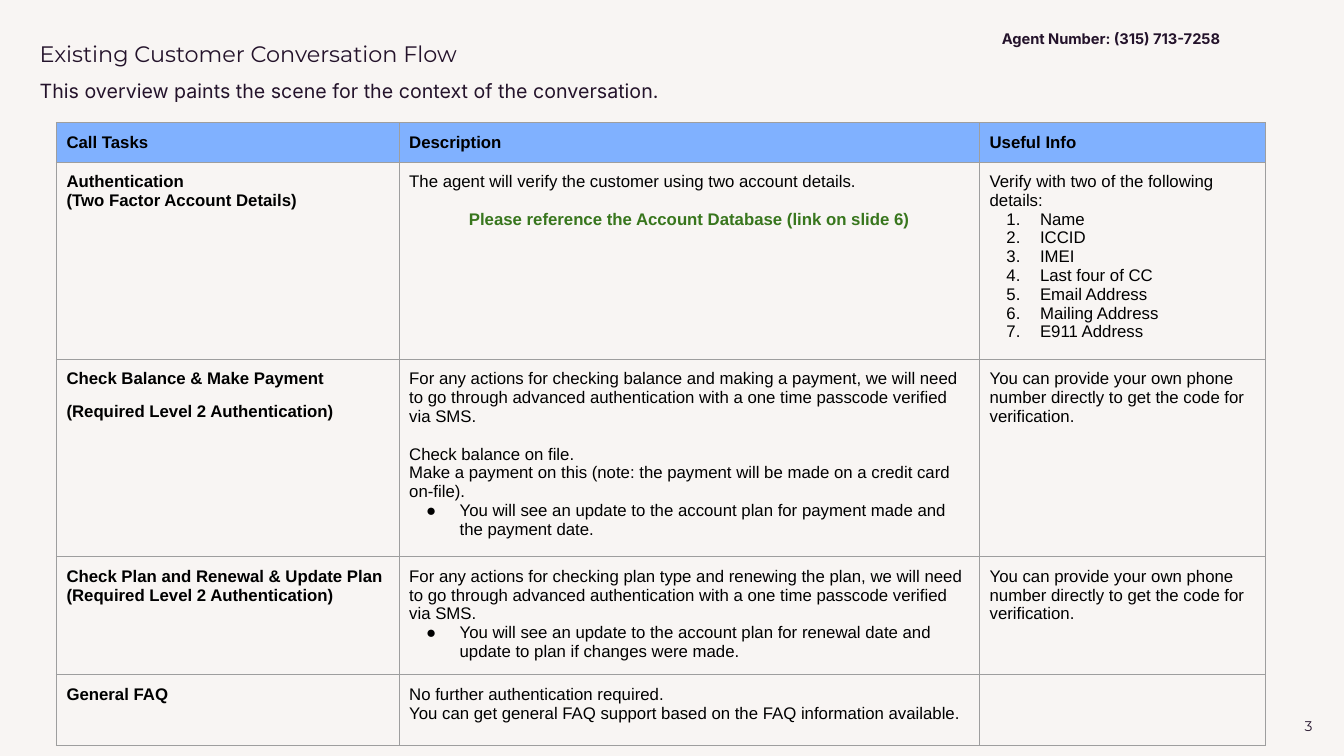
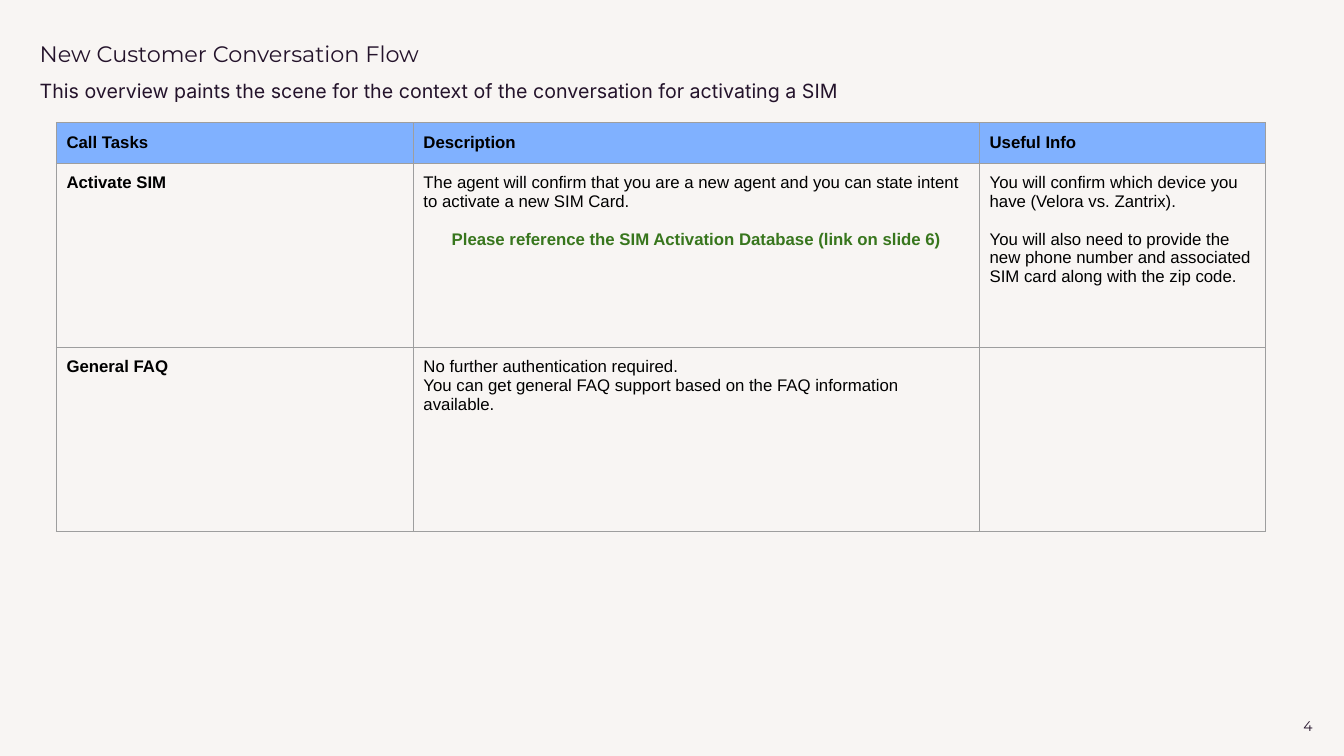
"""Build the two customer conversation flow slides."""
from lxml.etree import SubElement
from pptx import Presentation
from pptx.dml.color import RGBColor
from pptx.enum.text import MSO_ANCHOR, PP_ALIGN
from pptx.oxml.ns import qn
from pptx.util import Pt

CREAM = RGBColor(0xF8, 0xF5, 0xF3)
PLUM = RGBColor(0x24, 0x13, 0x2B)
SKY = RGBColor(0x80, 0xB1, 0xFF)
GREEN = RGBColor(0x38, 0x76, 0x1D)
BLACK = RGBColor(0, 0, 0)
GREY = RGBColor(0x9E, 0x9E, 0x9E)

LINE_GAP = 13.4
PARAGRAPH_GAP = 10
TABLE_LEFT, TABLE_TOP = 40.3, 87.8
HEADINGS = ["Call Tasks", "Description", "Useful Info"]

LEVEL_TWO = "(Required Level 2 Authentication)"
OWN_PHONE = [("plain", "You can provide your own phone number directly to get the code for verification.")]
FAQ_ROW = [
    [("plain", "General FAQ")],
    [
        ("plain", "No further authentication required."),
        ("plain", "You can get general FAQ support based on the FAQ information available."),
    ],
    [],
]
DETAILS = ["Name", "ICCID", "IMEI", "Last four of CC", "Email Address", "Mailing Address", "E911 Address"]

SLIDES = [
    {
        "number": "3",
        "title": "Existing Customer Conversation Flow",
        "subtitle": "This overview paints the scene for the context of the conversation.",
        "agent": "Agent Number: (315) 713-7258",
        "columns": [244.8, 414.6, 204],
        "heights": [28, 141, 141, 84.3, 50.5],
        "rows": [
            [
                [("plain", "Authentication"), ("plain", "(Two Factor Account Details)")],
                [
                    ("plain", "The agent will verify the customer using two account details."),
                    ("reference", "Please reference the Account Database (link on slide 6)"),
                ],
                [("plain", "Verify with two of the following details:")]
                + [("number", detail) for detail in DETAILS],
            ],
            [
                [("plain", "Check Balance & Make Payment"), ("spaced", LEVEL_TWO)],
                [
                    ("plain", "For any actions for checking balance and making a payment, we will need to go "
                              "through advanced authentication with a one time passcode verified via SMS."),
                    ("separate", "Check balance on file."),
                    ("plain", "Make a payment on this (note: the payment will be made on a credit card on-file)."),
                    ("bullet", "You will see an update to the account plan for payment made and the payment date."),
                ],
                OWN_PHONE,
            ],
            [
                [("plain", "Check Plan and Renewal & Update Plan"), ("plain", LEVEL_TWO)],
                [
                    ("plain", "For any actions for checking plan type and renewing the plan, we will need to go "
                              "through advanced authentication with a one time passcode verified via SMS."),
                    ("bullet", "You will see an update to the account plan for renewal date and update to plan "
                               "if changes were made."),
                ],
                OWN_PHONE,
            ],
            FAQ_ROW,
        ],
    },
    {
        "number": "4",
        "title": "New Customer Conversation Flow",
        "subtitle": "This overview paints the scene for the context of the conversation for activating a SIM",
        "agent": None,
        "columns": [255, 404.4, 204],
        "heights": [28.4, 131.6, 131.6],
        "rows": [
            [
                [("plain", "Activate SIM")],
                [
                    ("plain", "The agent will confirm that you are a new agent and you can state intent to "
                              "activate a new SIM Card."),
                    ("reference", "Please reference the SIM Activation Database (link on slide 6)"),
                ],
                [
                    ("plain", "You will confirm which device you have (Velora vs. Zantrix)."),
                    ("separate", "You will also need to provide the new phone number and associated SIM card "
                                 "along with the zip code."),
                ],
            ],
            FAQ_ROW,
        ],
    },
]


def add_label(slide, box, text, font, size, bold=False, align=PP_ALIGN.LEFT, spacing=1.0, inset=0):
    """Add one line of plum text in a box."""
    frame = slide.shapes.add_textbox(*[Pt(length) for length in box]).text_frame
    frame.word_wrap = True
    frame.margin_left = frame.margin_right = frame.margin_top = frame.margin_bottom = Pt(inset)
    paragraph = frame.paragraphs[0]
    paragraph.alignment = align
    paragraph.line_spacing = spacing
    run = paragraph.add_run()
    run.text = text
    run.font.name, run.font.size, run.font.bold = font, Pt(size), bold
    run.font.color.rgb = PLUM


def fill_cell(cell, content, bold, fill):
    """Give a table cell its borders, fill and styled paragraphs."""
    cell.margin_left = cell.margin_right = cell.margin_top = cell.margin_bottom = Pt(7.2)
    cell.vertical_anchor = MSO_ANCHOR.TOP
    properties = cell._tc.get_or_add_tcPr()
    for side in ("a:lnL", "a:lnR", "a:lnT", "a:lnB"):
        border = SubElement(properties, qn(side), w=str(Pt(0.75)))
        SubElement(SubElement(border, qn("a:solidFill")), qn("a:srgbClr"), val=str(GREY))
    if fill:
        cell.fill.solid()
        cell.fill.fore_color.rgb = fill
    else:
        cell.fill.background()

    for index, (style, text) in enumerate(content):
        paragraph = cell.text_frame.paragraphs[0] if index == 0 else cell.text_frame.add_paragraph()
        if style in ("number", "bullet"):
            list_properties = paragraph._p.get_or_add_pPr()
            list_properties.set("marL", str(Pt(36)))
            list_properties.set("indent", str(Pt(-24)))
            SubElement(SubElement(list_properties, qn("a:buClr")), qn("a:srgbClr"), val=str(BLACK))
            SubElement(list_properties, qn("a:buFont"), typeface="Arial")
            if style == "number":
                SubElement(list_properties, qn("a:buAutoNum"), type="arabicPeriod")
            else:
                SubElement(list_properties, qn("a:buChar"), char="●")
        if style in ("separate", "reference"):
            paragraph.space_before = Pt(LINE_GAP)
        elif style == "spaced":
            paragraph.space_before = Pt(PARAGRAPH_GAP)
        if style == "reference":
            paragraph.alignment = PP_ALIGN.CENTER
        run = paragraph.add_run()
        run.text = text
        run.font.name, run.font.size = "Arial", Pt(12)
        run.font.bold = bold or style == "reference"
        run.font.color.rgb = GREEN if style == "reference" else BLACK


presentation = Presentation()
presentation.slide_width, presentation.slide_height = Pt(960), Pt(540)

for flow in SLIDES:
    slide = presentation.slides.add_slide(presentation.slide_layouts[6])
    slide.background.fill.solid()
    slide.background.fill.fore_color.rgb = CREAM

    columns, heights = flow["columns"], flow["heights"]
    table = slide.shapes.add_table(
        len(heights), len(columns), Pt(TABLE_LEFT), Pt(TABLE_TOP), Pt(sum(columns)), Pt(sum(heights))
    ).table
    table.horz_banding = table.first_row = False
    for column, width in zip(table.columns, columns):
        column.width = Pt(width)
    for row, height in zip(table.rows, heights):
        row.height = Pt(height)

    heading_row = [[("plain", heading)] for heading in HEADINGS]
    for row_index, contents in enumerate([heading_row] + flow["rows"]):
        is_heading = row_index == 0
        for column_index, content in enumerate(contents):
            fill_cell(
                table.cell(row_index, column_index), content,
                bold=is_heading or column_index == 0, fill=SKY if is_heading else None,
            )

    add_label(slide, (28.4, 28.4, 612, 28.8), flow["title"], "Montserrat", 16)
    add_label(slide, (28.4, 54, 612, 27.4), flow["subtitle"], "Inter", 14, spacing=1.15)
    add_label(slide, (903, 512.6, 34.5, 27.4), flow["number"], "Montserrat", 10, align=PP_ALIGN.RIGHT)
    if flow["agent"]:
        add_label(slide, (708.5, 12.2, 195, 41.8), flow["agent"], "Inter", 10.5,
                  bold=True, spacing=1.15, inset=7.2)

presentation.save("out.pptx")
